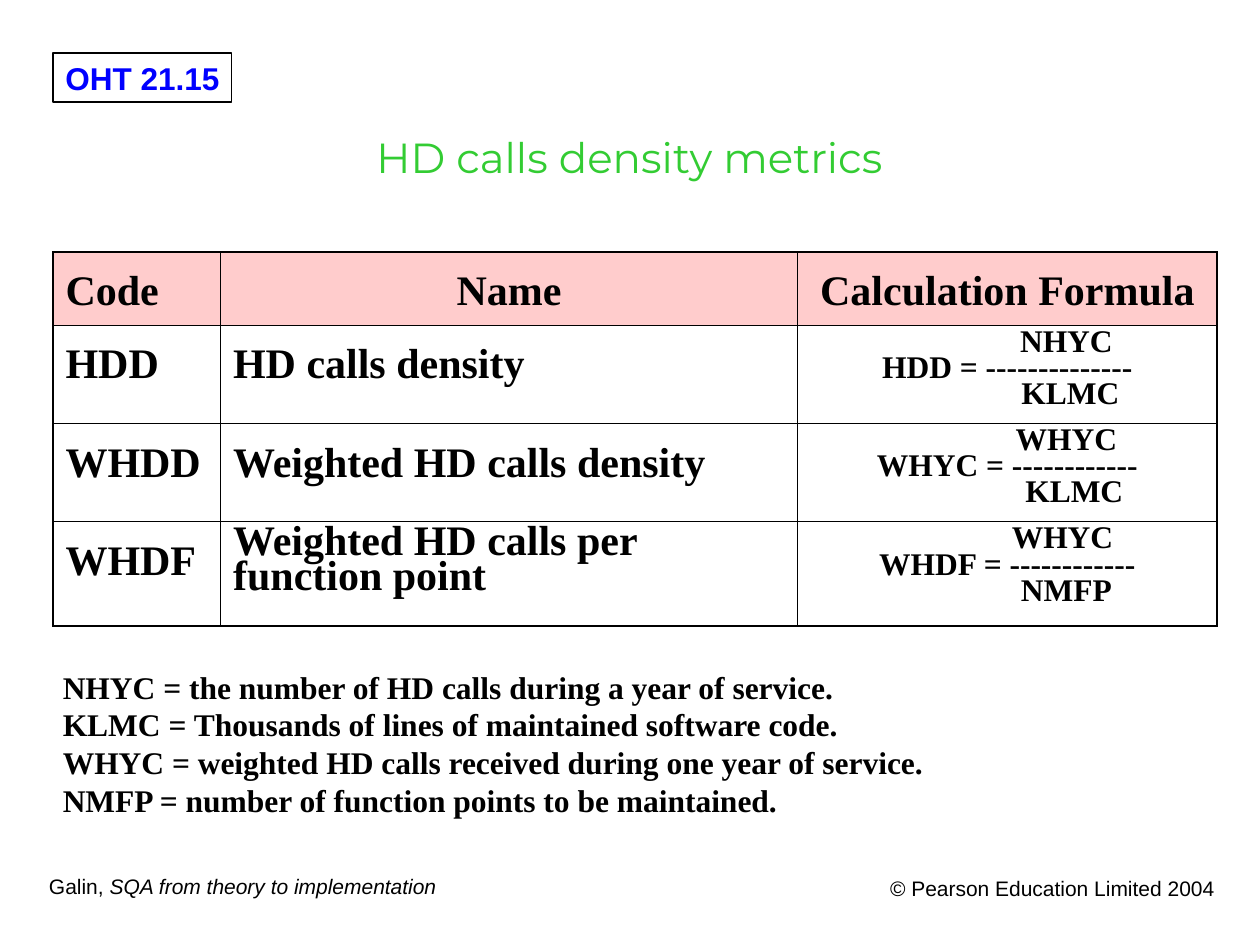
from dataclasses import dataclass

import lxml.etree
import pptx
import pptx.dml.color
import pptx.enum.shapes
import pptx.enum.text
import pptx.oxml.ns
import pptx.util

Inches = pptx.util.Inches
Pt = pptx.util.Pt
Align = pptx.enum.text.PP_ALIGN
Anchor = pptx.enum.text.MSO_ANCHOR
qn = pptx.oxml.ns.qn

SERIF = "Times New Roman"
BLACK = "000000"
PINK = "FFCCCC"
SPACE = 0.0625


@dataclass
class Line:
    text: str
    lead: int = 0


@dataclass
class Entry:
    lines: list[Line]
    size: int = 24
    align: Align = Align.LEFT
    top: float = 0.13
    tight: bool = False


@dataclass
class Style:
    size: int
    face: str = "Arial"
    hue: str = BLACK
    bold: bool = False
    align: Align = Align.LEFT


def color(code: str) -> pptx.dml.color.RGBColor:
    return pptx.dml.color.RGBColor.from_string(code)


def format_line(para, style: Style) -> None:
    para.alignment = style.align
    font = para.font
    font.name, font.size, font.bold = style.face, Pt(style.size), style.bold
    font.color.rgb = color(style.hue)


def write(frame, lines: list[str], style: Style) -> None:
    frame.text = "\n".join(lines)
    for para in frame.paragraphs:
        format_line(para, style)


def add_text(slide, box: tuple, lines: list[str], style: Style):
    frame = slide.shapes.add_textbox(*map(Inches, box)).text_frame
    frame.word_wrap = True
    write(frame, lines, style)
    return frame


def add_border(cell, side: str, width: float) -> None:
    props = cell._tc.get_or_add_tcPr()
    line = lxml.etree.SubElement(props, qn(f"a:ln{side}"), w=str(Pt(width)))
    fill = lxml.etree.SubElement(line, qn("a:solidFill"))
    lxml.etree.SubElement(fill, qn("a:srgbClr"), val=BLACK)


def fill_cell(cell, entry: Entry) -> None:
    cell.margin_top = Inches(entry.top)
    style = Style(entry.size, SERIF, bold=True, align=entry.align)
    write(cell.text_frame, [line.text for line in entry.lines], style)
    for para, line in zip(cell.text_frame.paragraphs, entry.lines):
        if entry.tight:
            para.line_spacing = 0.75
        if line.lead:
            para._p.get_or_add_pPr().set("marL", str(Inches(line.lead * SPACE)))


def add_grid(slide, rows: list[list[Entry]], wide: list, high: list) -> None:
    box = (0.42, 2, sum(wide), sum(high))
    table = slide.shapes.add_table(len(rows), len(wide), *map(Inches, box)).table
    table.horz_banding = table.first_row = False
    for col, width in zip(table.columns, wide):
        col.width = Inches(width)
    for row, height in zip(table.rows, high):
        row.height = Inches(height)
    for i, row in enumerate(rows):
        for j, entry in enumerate(row):
            cell = table.cell(i, j)
            edges = {"L": j == 0, "R": j == len(wide) - 1,
                     "T": i == 0, "B": i == len(rows) - 1}
            for side, outer in edges.items():
                add_border(cell, side, 1.08 if outer else 0.45)
            if i == 0:
                cell.fill.solid()
                cell.fill.fore_color.rgb = color(PINK)
            else:
                cell.fill.background()
            fill_cell(cell, entry)


def label(text: str, align: Align = Align.LEFT) -> Entry:
    return Entry([Line(text)], align=align)


def ratio(upper: Line, middle: str, lower: Line) -> Entry:
    return Entry([upper, Line(middle), lower], 18, Align.CENTER, 0.05, True)


def add_tag(slide) -> None:
    box = map(Inches, (0.42, 0.42, 1.42, 0.39))
    tag = slide.shapes.add_shape(pptx.enum.shapes.MSO_SHAPE.RECTANGLE, *box)
    tag.shadow.inherit = False
    tag.fill.background()
    tag.line.color.rgb = color(BLACK)
    tag.line.width = Pt(0.75)
    tag.text_frame.word_wrap = False
    tag.text_frame.vertical_anchor = Anchor.TOP
    write(tag.text_frame, ["OHT 21.15"],
          Style(18, hue="0000FF", bold=True, align=Align.CENTER))


def add_title(slide) -> None:
    title = slide.shapes.title
    title.left, title.top, title.width, title.height = map(
        Inches, (1.66, 0.99, 6.67, 0.55))
    title.text_frame.vertical_anchor = Anchor.TOP
    write(title.text_frame, ["HD calls density metrics"],
          Style(24, "Montserrat", "33CC33", align=Align.CENTER))


def main() -> None:
    deck = pptx.Presentation()
    deck.slide_width, deck.slide_height = Inches(10), Inches(7.5)
    slide = deck.slides.add_slide(deck.slide_layouts[5])
    add_tag(slide)

    source = add_text(slide, (0.29, 6.88, 3.28, 0.3), ["Galin, "], Style(12))
    source.word_wrap = False
    work = source.paragraphs[0].add_run()
    work.text = "SQA from theory to implementation"
    work.font.italic = True
    add_text(slide, (6.64, 6.9, 3.1, 0.39),
             ["© Pearson Education Limited 2004"], Style(12, align=Align.RIGHT))

    rows = [
        [label("Code"), label("Name", Align.CENTER),
         label("Calculation Formula", Align.CENTER)],
        [label("HDD"), label("HD calls density"),
         ratio(Line("NHYC", 15), "HDD = --------------", Line("KLMC", 16))],
        [label("WHDD"), label("Weighted HD calls density"),
         ratio(Line("WHYC", 15), "WHYC = ------------", Line("KLMC", 17))],
        [label("WHDF"),
         Entry([Line("Weighted HD calls per function point")], top=0.05, tight=True),
         ratio(Line("WHYC", 14), "WHDF = ------------", Line("NMFP", 15))],
    ]
    add_grid(slide, rows, [1.33, 4.58, 3.33], [0.58, 0.78, 0.78, 0.83])

    terms = [
        "NHYC = the number of HD calls during a year of service.",
        "KLMC = Thousands of lines of maintained software code.",
        "WHYC = weighted HD calls received during one year of service.",
        "NMFP = number of function points to be maintained.",
    ]
    add_text(slide, (0.4, 5.25, 9.24, 1.3), terms, Style(18, SERIF, bold=True))
    add_title(slide)
    deck.save("out.pptx")


if __name__ == "__main__":
    main()
